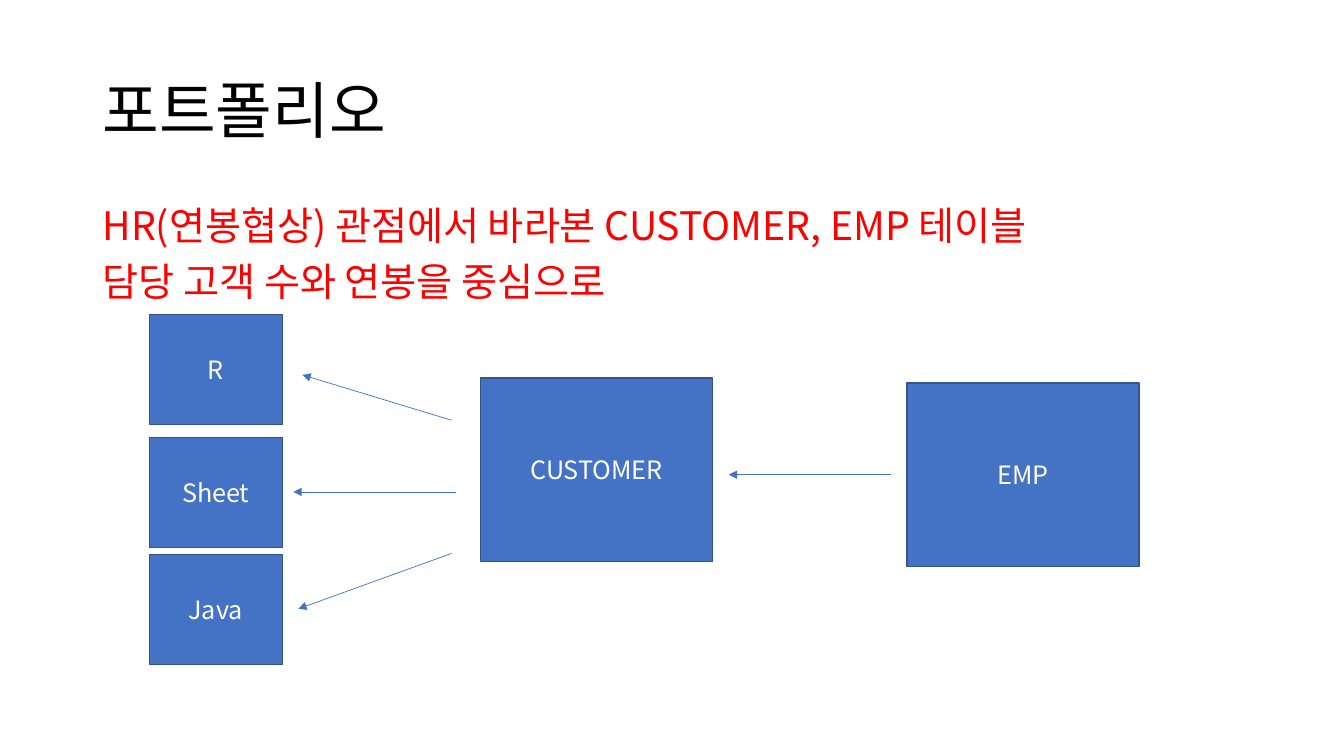
from dataclasses import dataclass

from lxml.etree import SubElement
from pptx import Presentation
from pptx.dml.color import RGBColor
from pptx.enum.shapes import MSO_CONNECTOR as Connector, MSO_SHAPE as Shape
from pptx.enum.text import MSO_ANCHOR as Anchor, PP_ALIGN as Align
from pptx.oxml.ns import qn
from pptx.util import Pt


@dataclass(frozen=True)
class Theme:
    font: str = "Noto Sans CJK KR"
    title_color: str = "000000"
    accent: str = "FF0000"
    box_fill: str = "4472C4"
    box_line: str = "325491"
    box_text: str = "FFFFFF"
    title_size: float = 44
    body_size: float = 28
    box_size: float = 18


THEME = Theme()
TABLE_SIZE = (165.6, 131)
TOOL_SIZE = (95, 78.5)
TOOL_LEFT = 106.6
TOOLS = {"R": 224.6, "Sheet": 312.5, "Java": 396}
TABLES = {"CUSTOMER": (343.4, 270), "EMP": (648, 273.6)}
ARROWS = [
    ((636.5, 339.1), (520.6, 339.1)),
    ((322.6, 300.2), (216, 267.8)),
    ((325.4, 351.4), (209.5, 351.4)),
    ((322.6, 395.3), (213.1, 434.9)),
]


def rgb(value):
    return RGBColor.from_string(value)


def write(frame, text, size, color, anchor=Anchor.TOP, align=Align.LEFT, spacing=1.0, before=0):
    frame.word_wrap = True
    frame.vertical_anchor = anchor
    for index, line in enumerate(text.split("\n")):
        paragraph = frame.add_paragraph() if index else frame.paragraphs[0]
        paragraph.alignment = align
        paragraph.line_spacing = spacing
        paragraph.space_before = Pt(before)
        run = paragraph.add_run()
        run.text = line
        run.font.name = THEME.font
        run.font.size = Pt(size)
        run.font.color.rgb = rgb(color)
        SubElement(run.font._element, qn("a:ea"), typeface=THEME.font)


def add_text(slide, text, area, **style):
    box = slide.shapes.add_textbox(*map(Pt, area))
    write(box.text_frame, text, spacing=0.9, **style)


def add_box(slide, label, position, size):
    box = slide.shapes.add_shape(Shape.RECTANGLE, *map(Pt, (*position, *size)))
    box.shadow.inherit = False
    box.fill.solid()
    box.fill.fore_color.rgb = rgb(THEME.box_fill)
    box.line.color.rgb = rgb(THEME.box_line)
    box.line.width = Pt(1)
    write(box.text_frame, label, THEME.box_size, THEME.box_text,
          anchor=Anchor.MIDDLE, align=Align.CENTER)


def add_arrow(slide, start, end):
    arrow = slide.shapes.add_connector(Connector.STRAIGHT, *map(Pt, (*start, *end)))
    arrow.line.color.rgb = rgb(THEME.box_fill)
    arrow.line.width = Pt(0.5)
    SubElement(arrow.line._get_or_add_ln(), qn("a:tailEnd"), type="triangle")
    SubElement(arrow._element.spPr, qn("a:effectLst"))


def main():
    deck = Presentation()
    deck.slide_width, deck.slide_height = Pt(960), Pt(540)
    slide = deck.slides.add_slide(deck.slide_layouts[6])

    add_text(slide, "포트폴리오", (66.2, 28.8, 828, 104.4),
             size=THEME.title_size, color=THEME.title_color, anchor=Anchor.MIDDLE)
    add_text(slide, "HR(연봉협상) 관점에서 바라본 CUSTOMER, EMP 테이블\n담당 고객 수와 연봉을 중심으로",
             (66.2, 144, 828, 342.7), size=THEME.body_size, color=THEME.accent, before=10)

    for label, position in TABLES.items():
        add_box(slide, label, position, TABLE_SIZE)
    for start, end in ARROWS:
        add_arrow(slide, start, end)
    for label, top in TOOLS.items():
        add_box(slide, label, (TOOL_LEFT, top), TOOL_SIZE)

    deck.save("out.pptx")


if __name__ == "__main__":
    main()
